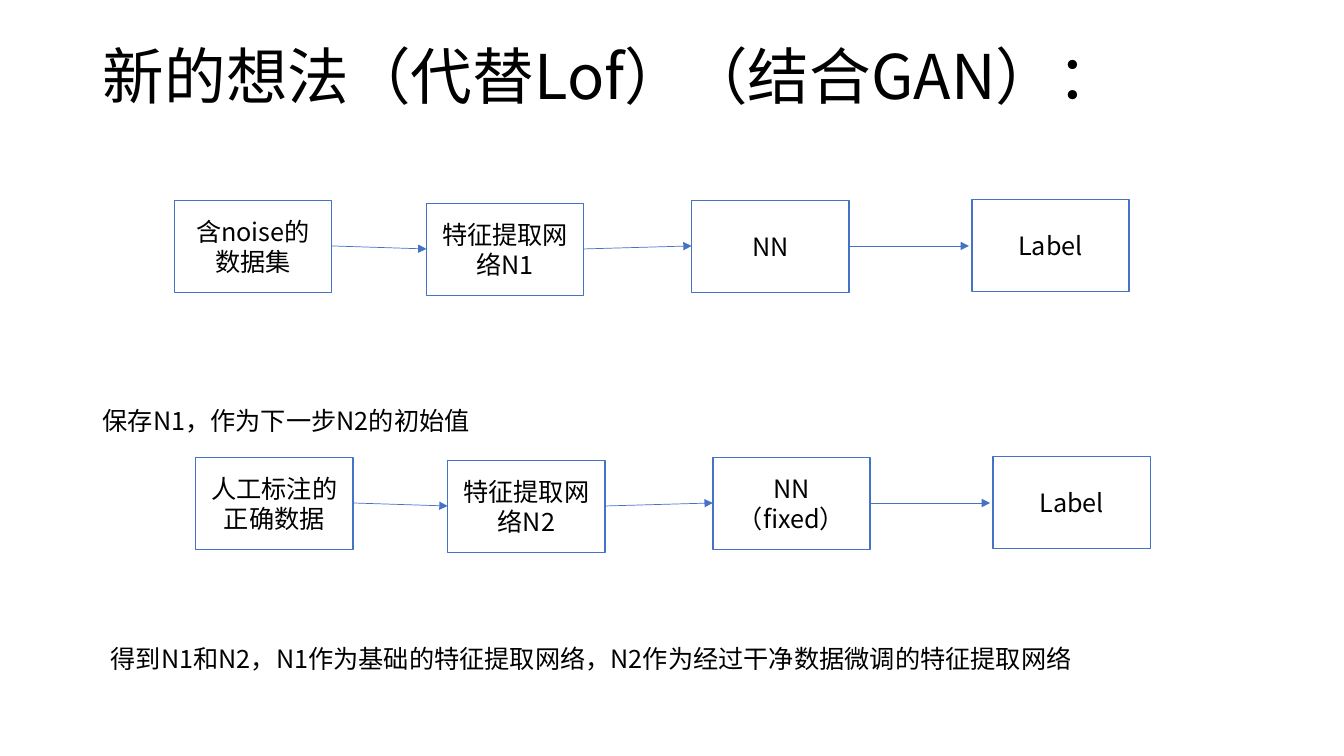
from dataclasses import dataclass
from typing import Any

import pptx
import pptx.dml.color
import pptx.enum.shapes
import pptx.enum.text
import pptx.oxml
import pptx.oxml.ns
import pptx.util

EMU_PER_PX = 9144  # 100 px to the inch
FONT = "Noto Sans CJK SC"
BLACK, WHITE, BLUE = "000000", "FFFFFF", "4472C4"
BOX_WIDTH, BOX_HEIGHT = 156, 91
STEP_OFFSETS = ((0, 0), (250, 3), (513, 0), (791, -1))
LAST_ARROW_GAP = 3
ANCHOR = pptx.enum.text.MSO_ANCHOR
ALIGN = pptx.enum.text.PP_ALIGN


@dataclass(frozen=True)
class Flow:
    left: int
    top: int
    steps: tuple[str, ...]


@dataclass(frozen=True)
class Note:
    left: int
    top: int
    width: int
    text: str


FLOWS = (
    Flow(173, 199, ("含noise的数据集", "特征提取网络N1", "NN", "Label")),
    Flow(194, 454, ("人工标注的正确数据", "特征提取网络N2", "NN（fixed）", "Label")),
)
NOTES = (
    Note(92, 397, 412, "保存N1，作为下一步N2的初始值"),
    Note(100, 633, 1020,
         "得到N1和N2，N1作为基础的特征提取网络，N2作为经过干净数据微调的特征提取网络"),
)


def px(length: int) -> pptx.util.Emu:
    return pptx.util.Emu(length * EMU_PER_PX)


def color(value: str) -> pptx.dml.color.RGBColor:
    return pptx.dml.color.RGBColor.from_string(value)


def apply_format(target: Any, values: dict[str, Any]) -> None:
    for name, value in values.items():
        setattr(target, name, value)


def write_text(shape: Any, text: str, size: int, anchor: Any, alignment: Any) -> None:
    frame = shape.text_frame
    apply_format(frame, {
        "word_wrap": True,
        "auto_size": pptx.enum.text.MSO_AUTO_SIZE.NONE,
        "vertical_anchor": anchor,
    })
    paragraph = frame.paragraphs[0]
    paragraph.alignment = alignment
    run = paragraph.add_run()
    run.text = text
    apply_format(run.font, {"name": FONT, "size": pptx.util.Pt(size)})
    run.font.color.rgb = color(BLACK)
    # East Asian typeface
    east_asian = pptx.oxml.parse_xml(
        f'<a:ea {pptx.oxml.ns.nsdecls("a")} typeface="{FONT}"/>')
    run.font._element.append(east_asian)


def add_title(slide: Any, text: str) -> None:
    title = slide.shapes.title
    apply_format(title, {"left": px(92), "top": px(40), "width": px(992), "height": px(77)})
    write_text(title, text, 44, ANCHOR.MIDDLE, ALIGN.LEFT)
    title.text_frame.paragraphs[0].line_spacing = 0.9


def add_box(slide: Any, left: int, top: int, text: str) -> None:
    box = slide.shapes.add_shape(
        pptx.enum.shapes.MSO_SHAPE.RECTANGLE,
        px(left), px(top), px(BOX_WIDTH), px(BOX_HEIGHT))
    box.shadow.inherit = False
    box.fill.solid()
    box.fill.fore_color.rgb = color(WHITE)
    box.line.color.rgb = color(BLUE)
    box.line.width = pptx.util.Pt(1)
    write_text(box, text, 18, ANCHOR.MIDDLE, ALIGN.CENTER)


def add_arrow(slide: Any, start: tuple[int, int], end: tuple[int, int]) -> None:
    arrow = slide.shapes.add_connector(
        pptx.enum.shapes.MSO_CONNECTOR.STRAIGHT, *map(px, start + end))
    arrow.line.color.rgb = color(BLUE)
    arrow.line.width = pptx.util.Pt(0.5)
    namespace = pptx.oxml.ns.nsdecls("a")
    arrow.line._get_or_add_ln().append(
        pptx.oxml.parse_xml(f'<a:tailEnd {namespace} type="triangle"/>'))
    arrow._element.spPr.append(pptx.oxml.parse_xml(f"<a:effectLst {namespace}/>"))


def add_flow(slide: Any, flow: Flow) -> None:
    corners = [(flow.left + x, flow.top + y) for x, y in STEP_OFFSETS]
    for (left, top), text in zip(corners, flow.steps):
        add_box(slide, left, top, text)
    # Arrows run between side midpoints; the last is level and stops short
    middle = BOX_HEIGHT // 2
    for index, (left, top) in enumerate(corners[:-1]):
        next_left, next_top = corners[index + 1]
        if index == len(corners) - 2:
            next_left, next_top = next_left - LAST_ARROW_GAP, top
        add_arrow(slide, (left + BOX_WIDTH, top + middle), (next_left, next_top + middle))


def add_note(slide: Any, note: Note) -> None:
    box = slide.shapes.add_textbox(px(note.left), px(note.top), px(note.width), px(40))
    write_text(box, note.text, 18, ANCHOR.TOP, ALIGN.LEFT)


def main() -> None:
    presentation = pptx.Presentation()
    apply_format(presentation, {"slide_width": px(1333), "slide_height": px(750)})
    slide = presentation.slides.add_slide(presentation.slide_layouts[5])
    add_title(slide, "新的想法（代替Lof）（结合GAN）：")
    for flow, note in zip(FLOWS, NOTES):
        add_flow(slide, flow)
        add_note(slide, note)
    presentation.save("out.pptx")


if __name__ == "__main__":
    main()
